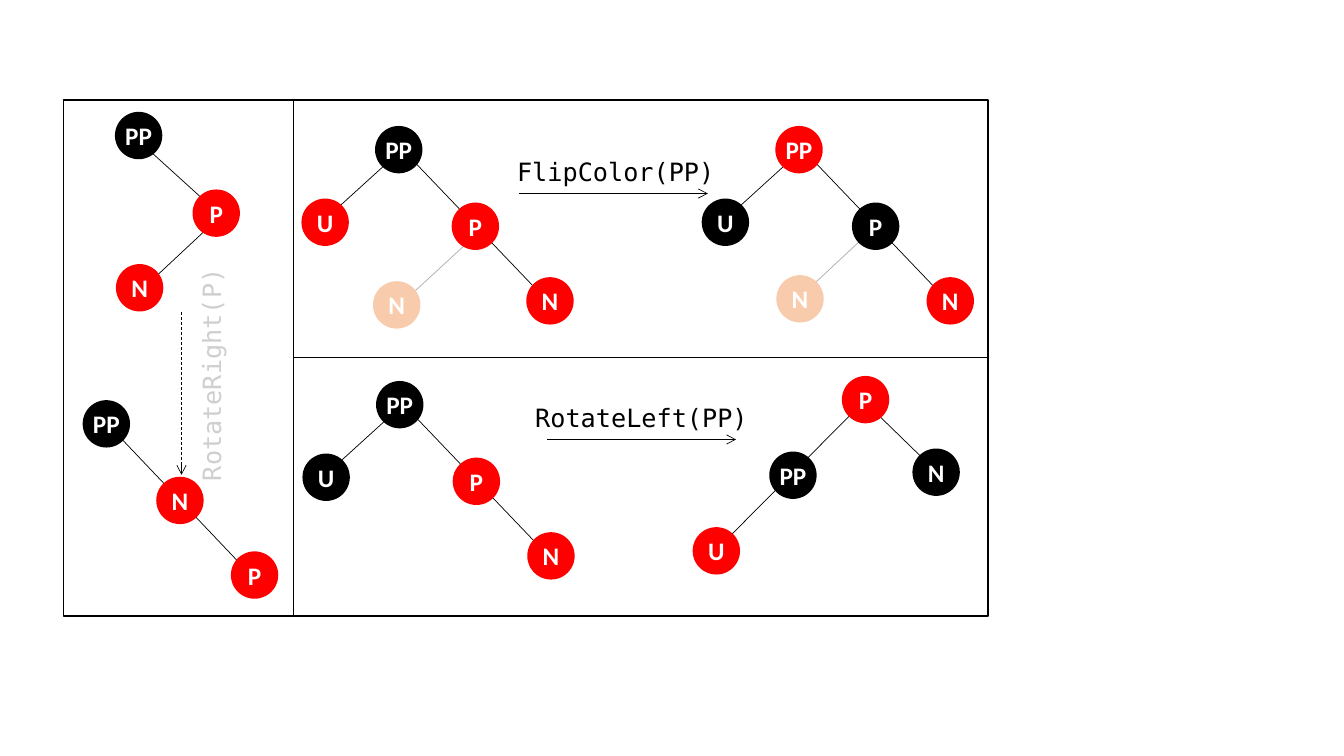
from dataclasses import dataclass

from lxml.etree import SubElement
from pptx import Presentation
from pptx.dml.color import RGBColor as RGB
from pptx.enum.dml import MSO_LINE_DASH_STYLE as Dash
from pptx.enum.shapes import MSO_CONNECTOR as Conn, MSO_SHAPE as Shape
from pptx.enum.text import MSO_ANCHOR as Anchor, MSO_AUTO_SIZE as AutoSize, PP_ALIGN as Align
from pptx.oxml.ns import qn
from pptx.util import Pt

PX = 9144  # EMU per px, 100 px to the inch


@dataclass(frozen=True)
class Theme:
    black: str = "000000"
    red: str = "FF0000"
    white: str = "FFFFFF"
    ghost: str = "F8CBAD"
    ghost_edge: str = "AFABAB"
    faint: str = "D0CECE"
    node_font: str = "Calibri"
    code_font: str = "DejaVu Sans Mono"
    size: int = 18
    leading: int = 15
    thin: float = 0.5
    thick: float = 1
    node: int = 47


T = Theme()


class Diagram:
    def __init__(self, slide, theme):
        self.s, self.t = slide, theme

    def frame(self, x, y, w, h):
        sp = self.s.shapes.add_shape(Shape.RECTANGLE, x * PX, y * PX, w * PX, h * PX)
        sp.shadow.inherit = False
        sp.fill.background()
        sp.line.color.rgb = RGB.from_string(self.t.black)
        sp.line.width = Pt(self.t.thick)

    def line(self, x1, y1, x2, y2, color=T.black, arrow=False, dashed=False):
        cn = self.s.shapes.add_connector(Conn.STRAIGHT, x1 * PX, y1 * PX, x2 * PX, y2 * PX)
        cn.line.color.rgb = RGB.from_string(color)
        cn.line.width = Pt(self.t.thin)
        if dashed:
            cn.line.dash_style = Dash.DASH
        if arrow:
            SubElement(cn.line._get_or_add_ln(), qn("a:tailEnd"), type="arrow")
        SubElement(cn._element.spPr, qn("a:effectLst"))

    def run(self, p, text, font, color, bold=False):
        r = p.add_run()
        r.text = text
        r.font.name, r.font.size, r.font.bold = font, Pt(self.t.size), bold
        r.font.color.rgb = RGB.from_string(color)

    def node(self, text, x, y, color):
        d = self.t.node * PX
        sp = self.s.shapes.add_shape(Shape.OVAL, x * PX, y * PX, d, d)
        sp.shadow.inherit = False
        sp.fill.solid()
        sp.fill.fore_color.rgb = RGB.from_string(color)
        sp.line.fill.background()
        tf = sp.text_frame
        tf.margin_left = tf.margin_right = tf.margin_top = tf.margin_bottom = 0
        tf.word_wrap, tf.vertical_anchor = False, Anchor.MIDDLE
        p = tf.paragraphs[0]
        p.alignment = Align.CENTER
        self.run(p, text, self.t.node_font, self.t.white, True)

    def label(self, text, x, y, w, h=36, color=T.black, rotation=0):
        sp = self.s.shapes.add_textbox(x * PX, y * PX, w * PX, h * PX)
        sp.rotation = rotation
        tf = sp.text_frame
        tf.word_wrap, tf.vertical_anchor = True, Anchor.MIDDLE
        tf.auto_size = AutoSize.SHAPE_TO_FIT_TEXT
        p = tf.paragraphs[0]
        p.line_spacing = Pt(self.t.leading)
        self.run(p, text, self.t.code_font, color)

    def tree(self, x, y, edges, nodes):
        """Edges and nodes are offsets from the corner (x, y) of the root."""
        for x1, y1, x2, y2 in edges:
            self.line(x + x1, y + y1, x + x2, y + y2)
        for text, dx, dy, color in nodes:
            self.node(text, x + dx, y + dy, color)

    def ghost(self, x, y, edge):
        self.line(*edge, color=self.t.ghost_edge)
        self.node("N", x, y, self.t.ghost)


def main():
    prs = Presentation()
    prs.slide_width, prs.slide_height = 1333 * PX, 750 * PX
    d = Diagram(prs.slides.add_slide(prs.slide_layouts[6]), T)

    # Frame with its three cells
    d.frame(63, 99, 917, 512)
    d.line(292, 355, 981, 355)
    d.line(291, 99, 291, 610)

    # Faded alternative children, their edges below the trees
    d.ghost(370, 279, (395, 304, 471, 234))
    d.ghost(770, 273, (792, 296, 868, 225))

    # Trees of the same form: root PP, uncle U, then P and N down to the right
    chain = (27, 23, 178, 181)
    uncle = (-50, 93, 27, 23)
    for x, y, pp, u, p in [
        (372, 125, T.black, T.red, T.red),
        (769, 125, T.red, T.black, T.black),
        (373, 378, T.black, T.black, T.red),
    ]:
        d.tree(x, y, [uncle, chain], [
            ("PP", 0, 0, pp), ("P", 76, 76, p), ("N", 150, 150, T.red), ("U", -73, 72, u)])

    # Tree after the left rotation
    d.tree(835, 373, [(23, 26, 98, 99), (-123, 171, 22, 25)], [
        ("P", 0, 0, T.red), ("PP", -72, 75, T.black),
        ("U", -148, 150, T.red), ("N", 70, 72, T.black)])

    # Left cell: before and after the right rotation
    d.tree(114, 111, [(25, 30, 101, 99), (26, 177, 102, 106)], [
        ("PP", 0, 0, T.black), ("P", 77, 77, T.red), ("N", 1, 151, T.red)])
    d.tree(82, 397, [(23, 22, 174, 181)], [
        ("PP", 0, 0, T.black), ("N", 73, 76, T.red), ("P", 147, 150, T.red)])

    # Operations
    d.line(515, 192, 702, 192, arrow=True)
    d.label("FlipColor(PP)", 503, 157, 219)
    d.line(543, 436, 730, 436, arrow=True)
    d.label("RotateLeft(PP)", 521, 401, 248)
    d.line(180, 310, 180, 471, arrow=True, dashed=True)
    d.label("RotateRight(P)", 95, 350, 238, color=T.faint, rotation=270)

    prs.save("out.pptx")


if __name__ == "__main__":
    main()
